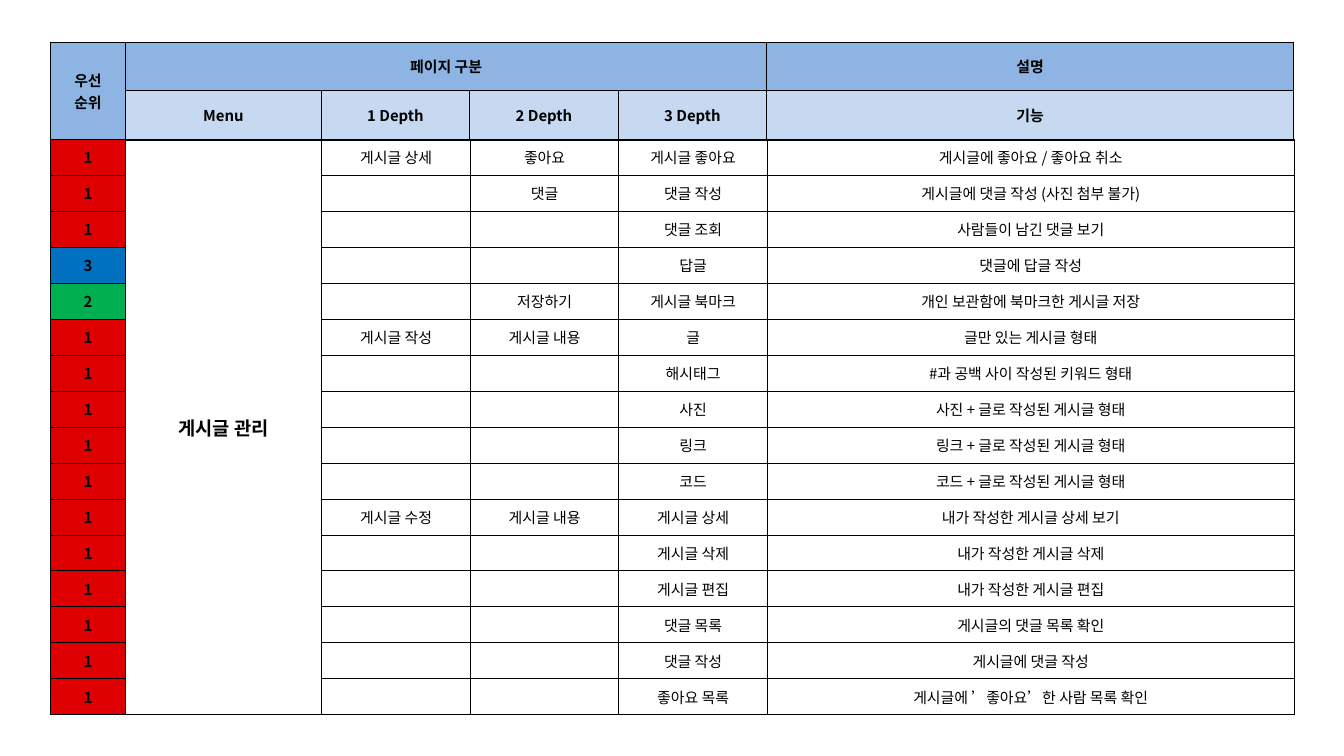
from lxml import etree
from pptx import Presentation
from pptx.dml.color import RGBColor
from pptx.enum.text import MSO_ANCHOR, PP_ALIGN
from pptx.oxml.ns import qn
from pptx.util import Inches, Pt

CENTER, MIDDLE = PP_ALIGN.CENTER, MSO_ANCHOR.MIDDLE
BLACK = RGBColor(0x00, 0x00, 0x00)
BLUE_HEADER = RGBColor(0x8E, 0xB4, 0xE3)
PALE_HEADER = RGBColor(0xC6, 0xD9, 0xF1)
PRIORITY_FILLS = {
    "1": RGBColor(0xDE, 0x00, 0x00),
    "2": RGBColor(0x00, 0xB0, 0x50),
    "3": RGBColor(0x00, 0x70, 0xC0),
}

# Layout in percent of the slide's width or height
LEFT = 3.75
HEADER_TOP, HEADER_ROW = 5.55, 6.4
BODY_TOP, BODY_ROW = 18.4, 4.76
PRIORITY, DEPTHS, DESCRIPTION = 5.6, [11.05] * 3, 39.2
HEADER_COLUMNS = [PRIORITY, 14.55, *DEPTHS, DESCRIPTION]
BODY_COLUMNS = [PRIORITY, 14.6, *DEPTHS, DESCRIPTION]

HEADER_ROWS = [
    ["우선\n순위", "페이지 구분", "", "", "", "설명"],
    ["", "Menu", "1 Depth", "2 Depth", "3 Depth", "기능"],
]
MENU = "게시글 관리"
# Priority, 1 Depth, 2 Depth, 3 Depth, description
FEATURES = [
    ("1", "게시글 상세", "좋아요", "게시글 좋아요", "게시글에 좋아요 / 좋아요 취소"),
    ("1", "", "댓글", "댓글 작성", "게시글에 댓글 작성 (사진 첨부 불가)"),
    ("1", "", "", "댓글 조회", "사람들이 남긴 댓글 보기"),
    ("3", "", "", "답글", "댓글에 답글 작성"),
    ("2", "", "저장하기", "게시글 북마크", "개인 보관함에 북마크한 게시글 저장"),
    ("1", "게시글 작성", "게시글 내용", "글", "글만 있는 게시글 형태"),
    ("1", "", "", "해시태그", "#과 공백 사이 작성된 키워드 형태"),
    ("1", "", "", "사진", "사진 + 글로 작성된 게시글 형태"),
    ("1", "", "", "링크", "링크 + 글로 작성된 게시글 형태"),
    ("1", "", "", "코드", "코드 + 글로 작성된 게시글 형태"),
    ("1", "게시글 수정", "게시글 내용", "게시글 상세", "내가 작성한 게시글 상세 보기"),
    ("1", "", "", "게시글 삭제", "내가 작성한 게시글 삭제"),
    ("1", "", "", "게시글 편집", "내가 작성한 게시글 편집"),
    ("1", "", "", "댓글 목록", "게시글의 댓글 목록 확인"),
    ("1", "", "", "댓글 작성", "게시글에 댓글 작성"),
    ("1", "", "", "좋아요 목록", "게시글에 ’좋아요’한 사람 목록 확인"),
]


class SlideBuilder:
    font_name = "Noto Sans CJK KR"
    border_width = Pt(1)

    def __init__(self, presentation):
        self.width = presentation.slide_width
        self.height = presentation.slide_height
        self.slide = presentation.slides.add_slide(presentation.slide_layouts[6])

    def table(self, top, column_widths, row_height, row_count):
        """Add a bordered, unfilled table at the left margin."""
        widths = [round(self.width * share / 100) for share in column_widths]
        height = round(self.height * row_height / 100)
        table = self.slide.shapes.add_table(
            row_count, len(widths), round(self.width * LEFT / 100),
            round(self.height * top / 100), sum(widths), height * row_count).table
        table.first_row = table.horz_banding = False
        for column, width in zip(table.columns, widths):
            column.width = width
        for row in table.rows:
            row.height = height
            for cell in row.cells:
                self.borders(cell)
                cell.fill.background()
        return table

    def borders(self, cell):
        properties = cell._tc.get_or_add_tcPr()
        for side in ("a:lnL", "a:lnR", "a:lnT", "a:lnB"):
            line = etree.SubElement(properties, qn(side), w=str(self.border_width))
            fill = etree.SubElement(line, qn("a:solidFill"))
            etree.SubElement(fill, qn("a:srgbClr"), val=str(BLACK))

    def cell(self, cell, text, fill=None, size=16, bold=False):
        """Fill a cell and write its centred text."""
        cell.vertical_anchor = MIDDLE
        if fill is not None:
            cell.fill.solid()
            cell.fill.fore_color.rgb = fill
        if not text:
            return
        cell.text = text
        style = {"name": self.font_name, "size": Pt(size), "bold": bold}
        for paragraph in cell.text_frame.paragraphs:
            paragraph.alignment = CENTER
            for run in paragraph.runs:
                for name, value in style.items():
                    setattr(run.font, name, value)
                run.font.color.rgb = BLACK
                etree.SubElement(run._r.get_or_add_rPr(), qn("a:ea"),
                                 typeface=self.font_name)


def main():
    presentation = Presentation()
    presentation.slide_width = Inches(20)
    presentation.slide_height = Inches(11.25)
    builder = SlideBuilder(presentation)

    # Column headings
    header = builder.table(HEADER_TOP, HEADER_COLUMNS, HEADER_ROW, len(HEADER_ROWS))
    header.cell(0, 0).merge(header.cell(1, 0))
    header.cell(0, 1).merge(header.cell(0, 4))
    for row, (texts, fill) in enumerate(zip(HEADER_ROWS, (BLUE_HEADER, PALE_HEADER))):
        for column, text in enumerate(texts):
            builder.cell(header.cell(row, column), text, fill, bold=True)

    # Feature list
    body = builder.table(BODY_TOP, BODY_COLUMNS, BODY_ROW, len(FEATURES))
    body.cell(0, 1).merge(body.cell(len(FEATURES) - 1, 1))
    builder.cell(body.cell(0, 1), MENU, size=20, bold=True)
    for row, (priority, *texts) in enumerate(FEATURES):
        builder.cell(body.cell(row, 0), priority, PRIORITY_FILLS[priority], bold=True)
        for column, text in enumerate(texts, start=2):
            builder.cell(body.cell(row, column), text)

    presentation.save("out.pptx")


if __name__ == "__main__":
    main()
